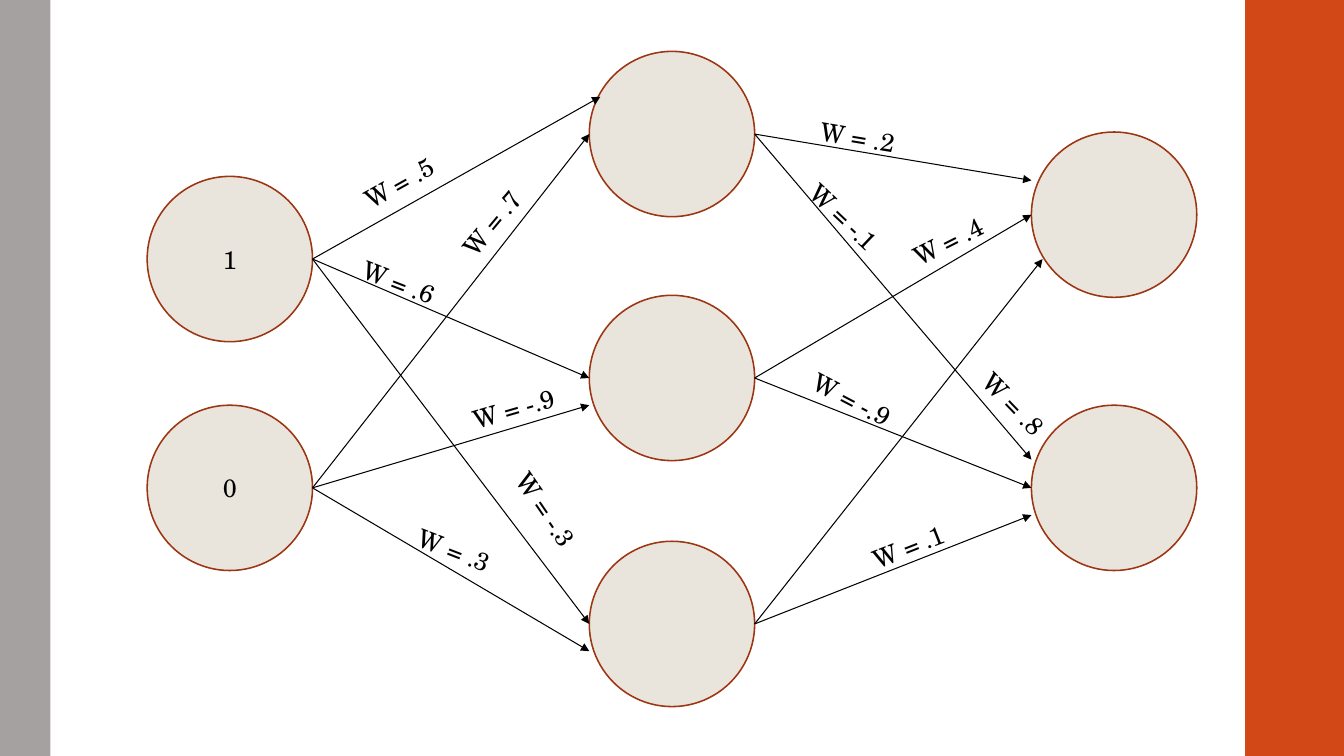
import pptx
import pptx.util
import pptx.dml.color
import pptx.enum.shapes
import pptx.enum.text
import pptx.oxml.ns
import lxml.etree

COLORS = {
    "left_band": "A6A1A1",
    "right_band": "D34817",
    "node": "E9E5DC",
    "outline": "9C3511",
    "ink": "000000",
}
FONT = "TeX Gyre Schola"
SLIDE_WIDTH, SLIDE_HEIGHT = 13.33, 7.5

# The network has a grid of its own, which is fitted to the box it is given
GRID_COLUMNS = 10.41
NODE_SIZE = 1.64

# Centre heights of the nodes, and their text, layer by layer
LAYERS = [
    [(2.06, "1"), (4.33, "0")],
    [(0.82, ""), (3.24, ""), (5.68, "")],
    [(1.62, ""), (4.33, "")],
]

# Source layer, source node, target node, shift of the tip from the target's left point
EDGES = [
    (0, 0, 0, (0.11, -0.37)),
    (0, 0, 2, (0, 0)),
    (0, 0, 1, (0, 0)),
    (0, 1, 0, (0, 0)),
    (0, 1, 1, (0, 0.27)),
    (0, 1, 2, (0, 0.27)),
    (1, 0, 0, (0, 0.46 - 0.8)),
    (1, 0, 1, (0, -0.28)),
    (1, 1, 0, (0, 0)),
    (1, 1, 1, (0, 0)),
    (1, 2, 0, (0.11, 0.44)),
    (1, 2, 1, (0, 0.27)),
]

# Weight, centre on the network's grid, rotation
WEIGHTS = [
    (".5", 2.5, 1.3, 330.7),
    (".7", 3.42, 1.7, 309.7),
    (".6", 2.5, 2.29, 21.2),
    (".3", 3.05, 4.95, 21.2),
    ("-.9", 3.64, 3.54, 343.8),
    ("-.3", 3.96, 4.55, 55.5),
    (".2", 7.05, 0.85, 9.6),
    (".4", 7.95, 1.88, 333.3),
    ("-.1", 6.92, 1.65, 43.4),
    (".1", 7.56, 4.91, 338.6),
    ("-.9", 7.0, 3.45, 27.5),
    (".8", 8.6, 3.5, 46.2),
]


def inches(*lengths):
    return [pptx.util.Inches(length) for length in lengths]


def color(name):
    return pptx.dml.color.RGBColor.from_string(COLORS[name])


def write_text(shape, text, size=18, ink="ink", align=None, anchor=None, wrap=True):
    frame = shape.text_frame
    frame.word_wrap = wrap
    frame.vertical_anchor = anchor
    paragraph = frame.paragraphs[0]
    paragraph.alignment = align
    run = paragraph.add_run()
    run.text = text
    run.font.name = FONT
    run.font.size = pptx.util.Pt(size)
    run.font.color.rgb = color(ink)


def add_filled_shape(slide, kind, box, fill, outline=None):
    shape = slide.shapes.add_shape(kind, *inches(*box))
    shape.shadow.inherit = False
    shape.fill.solid()
    shape.fill.fore_color.rgb = color(fill)
    if outline:
        shape.line.color.rgb = color(outline)
        shape.line.width = pptx.util.Pt(1.1)
    else:
        shape.line.fill.background()
    return shape


def add_arrow(slide, start, end):
    arrow = slide.shapes.add_connector(
        pptx.enum.shapes.MSO_CONNECTOR.STRAIGHT, *inches(*start, *end))
    arrow.line.color.rgb = color("ink")
    arrow.line.width = pptx.util.Pt(0.75)
    qualified_name = pptx.oxml.ns.qn
    lxml.etree.SubElement(
        arrow.line._get_or_add_ln(), qualified_name("a:tailEnd"), type="triangle")
    lxml.etree.SubElement(arrow._element.spPr, qualified_name("a:effectLst"))


def add_weight(slide, text, center, rotation):
    width, height = 0.95 if len(text) == 2 else 1.04, 0.4
    label = slide.shapes.add_textbox(
        *inches(center[0] - width / 2, center[1] - height / 2, width, height))
    write_text(label, f"W = {text}", wrap=False)
    label.text_frame.auto_size = pptx.enum.text.MSO_AUTO_SIZE.SHAPE_TO_FIT_TEXT
    label.rotation = rotation


def add_side_bands(slide, box):
    left, top, width, height = box
    rectangle = pptx.enum.shapes.MSO_SHAPE.RECTANGLE
    right_width = 0.98
    add_filled_shape(slide, rectangle,
                     (left + width - right_width, top, right_width, height), "right_band")
    add_filled_shape(slide, rectangle, (left, top, 0.5, height), "left_band")


def add_network(slide, box):
    left, top, width = box
    scale = width / GRID_COLUMNS
    size = NODE_SIZE * scale
    layer_step = (width - size) / (len(LAYERS) - 1)

    def place(x, y):
        return left + x * scale, top + y * scale

    # Nodes
    for column, layer in enumerate(LAYERS):
        for center_y, text in layer:
            node_box = (left + column * layer_step, top + center_y * scale - size / 2, size, size)
            node = add_filled_shape(
                slide, pptx.enum.shapes.MSO_SHAPE.OVAL, node_box, "node", "outline")
            if text:
                write_text(node, text, align=pptx.enum.text.PP_ALIGN.CENTER,
                           anchor=pptx.enum.text.MSO_ANCHOR.MIDDLE)

    # Arrows from the right of a node to the left of one in the next layer
    for column, source, target, (shift_x, shift_y) in EDGES:
        start = (left + column * layer_step + size, top + LAYERS[column][source][0] * scale)
        end = (left + (column + 1) * layer_step + shift_x * scale,
               top + (LAYERS[column + 1][target][0] + shift_y) * scale)
        add_arrow(slide, start, end)

    # Weights
    for text, x, y, rotation in WEIGHTS:
        add_weight(slide, text, place(x, y), rotation)


def main():
    presentation = pptx.Presentation()
    presentation.slide_width, presentation.slide_height = inches(SLIDE_WIDTH, SLIDE_HEIGHT)
    blank_layout = presentation.slide_layouts[6]
    slide = presentation.slides.add_slide(blank_layout)
    add_side_bands(slide, (0, 0, SLIDE_WIDTH, SLIDE_HEIGHT))
    add_network(slide, (1.46, 0.51, GRID_COLUMNS))
    presentation.save("out.pptx")


if __name__ == "__main__":
    main()
